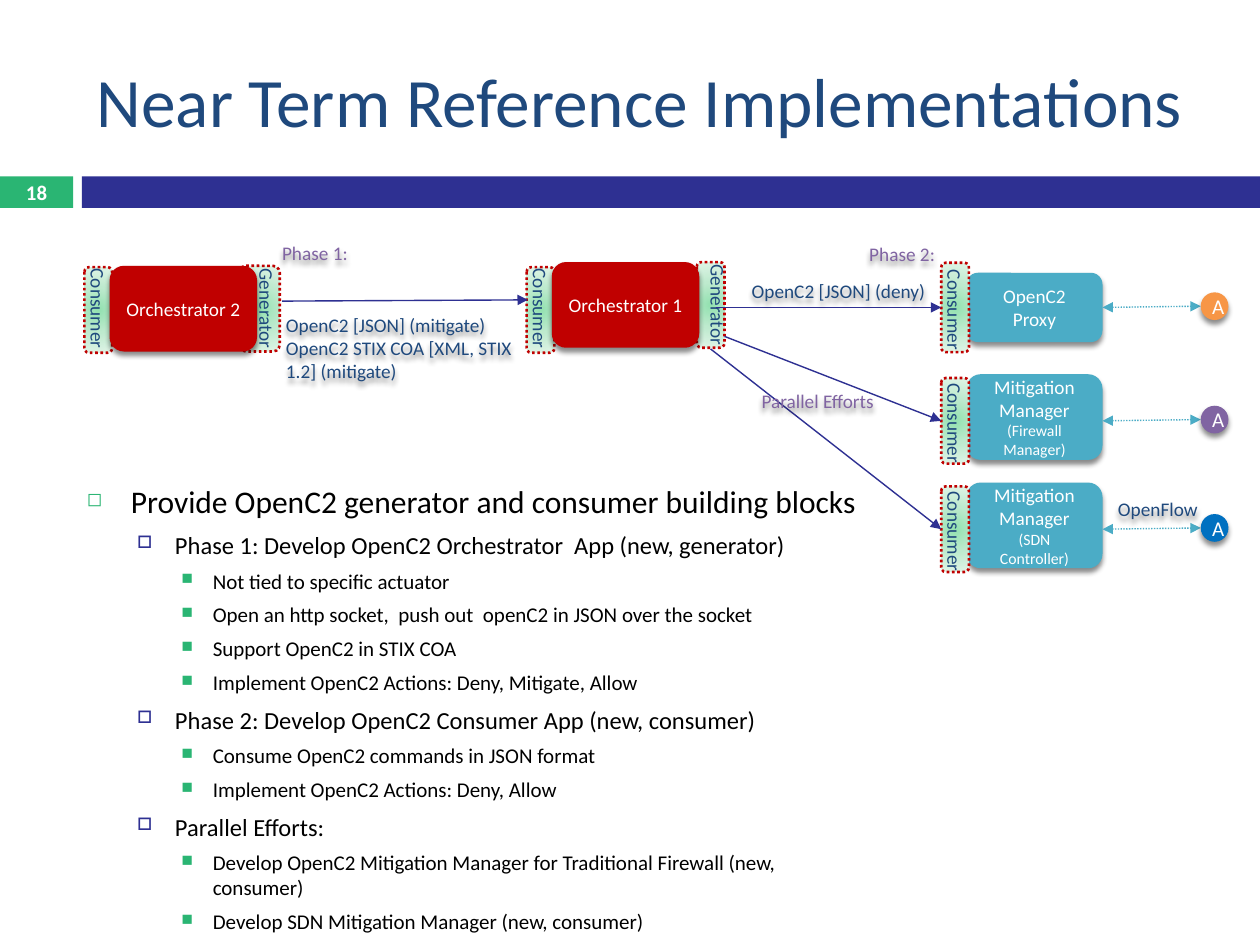
from pptx import Presentation
from pptx.dml.color import RGBColor
from pptx.enum.dml import MSO_LINE
from pptx.enum.shapes import MSO_CONNECTOR, MSO_SHAPE
from pptx.enum.text import MSO_ANCHOR, PP_ALIGN
from pptx.oxml import parse_xml
from pptx.oxml.ns import nsdecls, qn
from pptx.util import Inches, Pt

RECT, ROUND, OVAL = MSO_SHAPE.RECTANGLE, MSO_SHAPE.ROUNDED_RECTANGLE, MSO_SHAPE.OVAL
LEFT, CENTER = PP_ALIGN.LEFT, PP_ALIGN.CENTER
MIDDLE = MSO_ANCHOR.MIDDLE
DOTTED = MSO_LINE.ROUND_DOT
STRAIGHT = MSO_CONNECTOR.STRAIGHT
LEFT_SIDE, RIGHT_SIDE = 1, 3
FONT = "Calibri"
COLORS = {
    "green": "2AB573", "indigo": "2E3092", "navy": "1F497D", "red": "C00000",
    "teal": "4BACC6", "purple": "8064A2", "orange": "F79646", "blue": "0070C0",
    "white": "FFFFFF", "black": "000000",
}
PORT_STOPS = ((0, "93E1B0"), (50, "BEEACE"), (100, "E0F4E7"))

# Per level: indent, hanging, size, space before, bullet, its colour and its percent
LEVELS = (
    (0.35, 0.35, 18, 7, "◻", "green", 60),
    (0.7, 0.3, 14, 5.5, "□", "indigo", 70),
    (1, 0.25, 12, 5, "■", "green", 75),
)
BULLETS = (
    (0, "Provide OpenC2 generator and consumer building blocks"),
    (1, "Phase 1: Develop OpenC2 Orchestrator  App (new, generator)"),
    (2, "Not tied to specific actuator"),
    (2, "Open an http socket,  push out  openC2 in JSON over the socket"),
    (2, "Support OpenC2 in STIX COA"),
    (2, "Implement OpenC2 Actions: Deny, Mitigate, Allow"),
    (1, "Phase 2: Develop OpenC2 Consumer App (new, consumer)"),
    (2, "Consume OpenC2 commands in JSON format"),
    (2, "Implement OpenC2 Actions: Deny, Allow"),
    (1, "Parallel Efforts:"),
    (2, "Develop OpenC2 Mitigation Manager for Traditional Firewall (new, consumer)"),
    (2, "Develop SDN Mitigation Manager (new, consumer)"),
)


def rgb(name):
    return RGBColor.from_string(COLORS[name])


def style_font(font, size, color, bold=False):
    font.name, font.size, font.bold = FONT, Pt(size), bold
    font.color.rgb = rgb(color)


def write(shape, lines, size, color, align=CENTER, bold=False):
    frame = shape.text_frame
    frame.word_wrap, frame.vertical_anchor = True, MIDDLE
    for index, line in enumerate(lines):
        para = frame.add_paragraph() if index else frame.paragraphs[0]
        para.text, para.alignment = line, align
        style_font(para.font, size, color, bold)


def add_box(page, kind, box, fill=None, shadow=False):
    shape = page.shapes.add_shape(kind, *map(Inches, box))
    shape.shadow.inherit = False
    shape.line.fill.background()
    if fill:
        shape.fill.solid()
        shape.fill.fore_color.rgb = rgb(fill)
    else:
        shape.fill.background()
    if shadow:
        shape.element.spPr.find(qn("a:effectLst")).append(parse_xml(
            f'<a:outerShdw {nsdecls("a")} blurRad="38100" dist="30480" dir="5400000">'
            '<a:srgbClr val="000000"><a:alpha val="45000"/></a:srgbClr></a:outerShdw>'))
    return shape


def add_label(page, box, *lines, color="navy", align=CENTER):
    write(add_box(page, ROUND, box, shadow=True), lines, 11, color, align)


def add_upright_label(page, center_x, center_y, text):
    length, depth = 1, 0.22
    label = add_box(page, ROUND, (center_x - length / 2, center_y - depth / 2, length, depth))
    label.rotation = 90
    write(label, [text], 11, "navy")


def add_port(page, box):
    """Dotted green interface on the side of a component."""
    port = add_box(page, ROUND, box)
    stops = "".join(f'<a:gs pos="{at * 1000}"><a:srgbClr val="{color}"/></a:gs>'
                    for at, color in PORT_STOPS)
    properties = port.element.spPr
    properties.replace(properties.find(qn("a:noFill")), parse_xml(
        f'<a:gradFill {nsdecls("a")}><a:gsLst>{stops}</a:gsLst><a:path path="circle">'
        '<a:fillToRect l="50000" t="50000" r="50000" b="50000"/></a:path></a:gradFill>'))
    port.line.color.rgb = rgb("red")
    port.line.width, port.line.dash_style = Pt(1.5), DOTTED
    return port


def add_arrow(page, start, end, color="indigo", two_way=False, source=None, target=None):
    arrow = page.shapes.add_connector(STRAIGHT, *map(Inches, start + end))
    arrow.line.color.rgb, arrow.line.width = rgb(color), Pt(0.79)
    if two_way:
        arrow.line.dash_style = DOTTED
    properties = arrow.element.spPr
    for tip in ("headEnd", "tailEnd") if two_way else ("tailEnd",):
        properties.find(qn("a:ln")).append(
            parse_xml(f'<a:{tip} {nsdecls("a")} type="triangle"/>'))
    properties.append(parse_xml(f'<a:effectLst {nsdecls("a")}/>'))
    if source:
        arrow.begin_connect(source, RIGHT_SIDE)
    if target:
        arrow.end_connect(target, LEFT_SIDE)


def add_header(page, top):
    title = page.shapes.add_textbox(*map(Inches, (0.67, top, 8.92, 1.08)))
    write(title, ["Near Term Reference Implementations"], 39.6, "navy", LEFT)
    band_top = top + 1.15
    number = add_box(page, RECT, (0, band_top, 0.58, 0.25), "green")
    write(number, ["18"], 11.9, "white", bold=True)
    add_box(page, RECT, (0.65, band_top, 9.35, 0.25), "indigo")


def add_bullets(page, box):
    frame = page.shapes.add_textbox(*map(Inches, box)).text_frame
    frame.word_wrap = True
    for index, (level, text) in enumerate(BULLETS):
        indent, hanging, size, before, mark, mark_color, percent = LEVELS[level]
        para = frame.add_paragraph() if index else frame.paragraphs[0]
        para.text, para.level, para.space_before = text, level, Pt(before)
        style_font(para.font, size, "black")
        properties = para._p.get_or_add_pPr()
        properties.set("marL", str(Inches(indent)))
        properties.set("indent", str(-Inches(hanging)))
        for bullet in (f'<a:buClr {{}}><a:srgbClr val="{COLORS[mark_color]}"/></a:buClr>',
                       f'<a:buSzPct {{}} val="{percent * 1000}"/>',
                       f'<a:buChar {{}} char="{mark}"/>'):
            properties.append(parse_xml(bullet.format(nsdecls("a"))))


def add_orchestrator(page, left, top, name, generator_left, generator_width):
    """Red orchestrator between a consumer port and a generator port."""
    add_port(page, (left - 0.2, 2.12, 0.22, 0.68))
    add_port(page, (left + generator_left, top, generator_width, 0.68))
    write(add_box(page, ROUND, (left, top, 1.17, 0.68), "red", True), [name], 11, "white")
    add_upright_label(page, left - 0.09, 2.45, "Consumer")
    add_upright_label(page, left + generator_left + generator_width / 2 + 0.06,
                      top + 0.34, "Generator")


def add_consumer_row(page, left, axis, port_height, manager_shift, manager_height,
                     name, detail, actuator_color):
    """Consumer port, teal manager and round actuator along one axis."""
    middle = axis + manager_shift
    manager = add_box(page, ROUND, (left + 0.2, middle - manager_height / 2,
                                    1.08, manager_height), "teal", True)
    write(manager, [name], 11, "white")
    if detail:
        span = manager.text_frame.paragraphs[0].add_run()
        span.text, span.font.size = detail, Pt(9)
    port = add_port(page, (left, axis - port_height / 2, 0.22, port_height))
    add_upright_label(page, left + 0.11, axis + 0.02, "Consumer")
    add_arrow(page, (left + 1.28, axis), (left + 2.06, axis - 0.01), "teal", two_way=True,
              source=None if manager_shift else manager)
    actuator = add_box(page, OVAL, (left + 2.06, axis - 0.12, 0.22, 0.22),
                       actuator_color, True)
    write(actuator, ["A"], 12, "white")
    return port


def add_diagram(page):
    add_orchestrator(page, 0.87, 2.11, "Orchestrator 2", 1.03, 0.32)
    add_orchestrator(page, 4.38, 2.08, "Orchestrator 1", 1.15, 0.22)
    add_arrow(page, (2.24, 2.39), (4.19, 2.38))

    # Consumers, each reached from the generator of Orchestrator 1
    rows = (
        ((5.68, 2.44), 2.44, 0.71, 0, 0.55, "OpenC2 Proxy", "", "orange"),
        ((5.75, 2.67), 3.34, 0.68, -0.03, 0.68,
         "Mitigation Manager ", "(Firewall Manager)", "purple"),
        ((5.64, 2.77), 4.2, 0.68, -0.03, 0.68,
         "Mitigation Manager ", "(SDN Controller)", "blue"),
    )
    for start, axis, *details in rows:
        port = add_consumer_row(page, 7.47, axis, *details)
        add_arrow(page, start, (7.47, axis), target=port)

    # Labels
    add_label(page, (2.08, 1.93, 0.84, 0.15), "Phase 1:", color="purple")
    add_label(page, (6.74, 1.94, 0.84, 0.15), "Phase 2:", color="purple")
    add_label(page, (5.77, 2.98, 1.44, 0.4), "Parallel Efforts", color="purple")
    add_label(page, (5.82, 2.22, 1.67, 0.17), "OpenC2 [JSON] (deny)")
    add_label(page, (8.67, 3.88, 1.04, 0.32), "OpenFlow")
    add_label(page, (2.14, 2.44, 2.19, 0.64), "OpenC2 [JSON] (mitigate)",
              "OpenC2 STIX COA [XML, STIX 1.2] (mitigate)", align=LEFT)


def main():
    deck = Presentation()
    deck.slide_width, deck.slide_height = Inches(10), Inches(7.5)
    page = deck.slides.add_slide(deck.slide_layouts[6])
    add_header(page, 0.25)
    add_bullets(page, (0.59, 3.78, 6.41, 3.62))
    add_diagram(page)
    deck.save("out.pptx")


if __name__ == "__main__":
    main()
